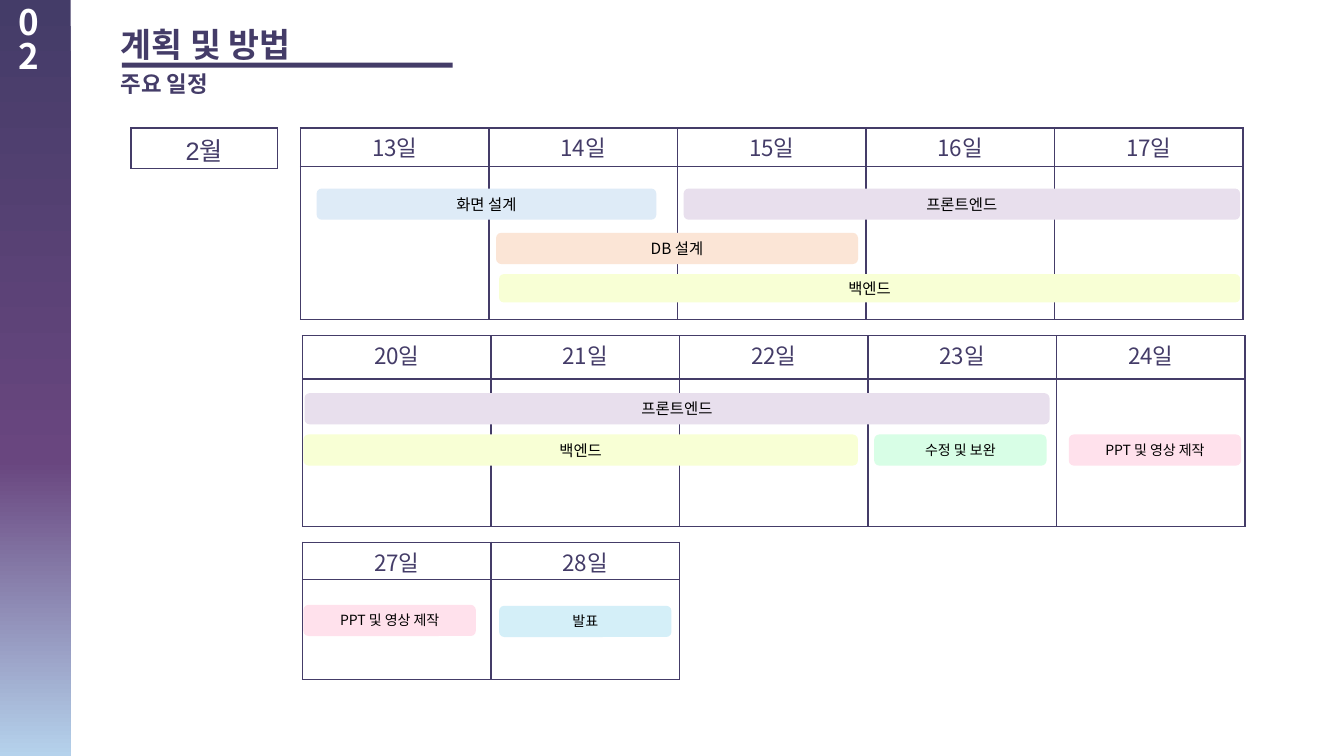
from copy import deepcopy
from lxml import etree
from pptx import Presentation
from pptx.dml.color import RGBColor
from pptx.enum import shapes, text
from pptx.oxml import ns

# Content; lengths are px, 100 to the inch
PX = 9144
SANS = "Noto Sans CJK KR"
HEX = dict(ink="443C68", plum="69467F", sky="B5D2EC", white="FFFFFF", black="000000",
           blue="DEEBF7", lilac="E8DFED", peach="FBE5D6", lime="F8FFD5",
           mint="D8FEE6", pink="FFE1EC", aqua="D4EFF8")
FADE = [("ink", 0), ("plum", 61), ("sky", 100)]

# left, top, row heights, first day, number of days
WEEKS = [(298, 127, (38, 152), 13, 5),
         (300, 333, (43, 146), 20, 5),
         (300, 538, (37, 99), 27, 2)]
DAY = 187

# label, colour, size, left, top, width, height
TASKS = [("화면 설계", "blue", 11, 314, 187, 337, 31),
         ("프론트엔드", "lilac", 11, 678, 187, 552, 31),
         ("DB 설계", "peach", 11, 492, 231, 359, 31),
         ("백엔드", "lime", 11, 495, 272, 735, 28),
         ("프론트엔드", "lilac", 11, 302, 390, 739, 31),
         ("백엔드", "lime", 11, 301, 431, 550, 31),
         ("수정 및 보완", "mint", 10, 867, 431, 171, 31),
         ("PPT 및 영상 제작", "pink", 10, 1060, 431, 171, 31),
         ("PPT 및 영상 제작", "pink", 10, 301, 600, 171, 31),
         ("발표", "aqua", 10, 495, 601, 171, 31)]

# text, size, colour, box, wrap, line spacing
HEADS = [("계획 및 방법", 24, "ink", (110, 19, 196, 50), False, None),
         ("주요 일정", 16, "ink", (110, 65, 110, 37), False, None),
         ("02", 25, "white", (9, 4, 50, 52), True, 0.8)]

deck = Presentation()
deck.slide_width, deck.slide_height = 1333 * PX, 750 * PX
slide = deck.slides.add_slide(deck.slide_layouts[6])


def scale(*nums):
    return [n * PX for n in nums]


def color(name):
    return RGBColor.from_string(HEX[name])


def write(frame, words, size, tint="ink", font=SANS, bold=False,
          align=text.PP_ALIGN.CENTER, gap=None):
    para = frame.paragraphs[0]
    para.alignment = align
    if gap:
        para.line_spacing = gap
    run = para.add_run()
    run.text = words
    run.font.size = size * 12700
    run.font.bold = bold
    run.font.name = font
    run.font.color.rgb = color(tint)
    east = etree.SubElement(run.font.color and run._r.get_or_add_rPr(), ns.qn("a:ea"))
    east.set("typeface", SANS)


def block(kind, box, tint):
    shape = slide.shapes.add_shape(kind, *scale(*box))
    shape.shadow.inherit = False
    shape.line.fill.background()
    shape.fill.solid()
    shape.fill.fore_color.rgb = color(tint)
    return shape


def grid(left, top, wide, rows, heads, size=16, font=SANS):
    frame = slide.shapes.add_table(len(rows), len(heads),
                                   *scale(left, top, wide * len(heads), sum(rows)))
    table = frame.table
    table.first_row = table.horz_banding = False
    for col in table.columns:
        col.width = wide * PX
    for row, high in zip(table.rows, rows):
        row.height = high * PX
    for cell in table.iter_cells():
        cell.fill.background()
        cell.margin_top, cell.margin_bottom = scale(3, 2)
    for cell, head in zip(table.rows[0].cells, heads):
        write(cell.text_frame, head, size, font=font)
    # Cell borders
    for props in frame.element.iter(ns.qn("a:tcPr")):
        for spot, side in enumerate("LRTB"):
            line = etree.Element(ns.qn("a:ln" + side), w="12700")
            solid = etree.SubElement(line, ns.qn("a:solidFill"))
            etree.SubElement(solid, ns.qn("a:srgbClr"), val=HEX["ink"])
            props.insert(spot, line)


# Side band with its gradient
RECT = shapes.MSO_SHAPE.RECTANGLE
band = block(RECT, (-2, 0, 72, 750), "ink")
band.fill.gradient()
band.fill.gradient_angle = 270
stops = next(band.element.iter(ns.qn("a:gsLst")))
stops.append(deepcopy(stops[-1]))
for stop, (name, place) in zip(stops, FADE):
    stop.set("pos", str(place * 1000))
    stop.remove(stop[0])
    etree.SubElement(stop, ns.qn("a:srgbClr"), val=HEX[name])

# Headings
block(RECT, (121, 62, 328, 5), "ink")
for words, size, tint, box, wrap, gap in HEADS:
    frame = slide.shapes.add_textbox(*scale(*box)).text_frame
    frame.word_wrap = wrap
    write(frame, words, size, tint, bold=True, align=text.PP_ALIGN.LEFT, gap=gap)

# Calendar
grid(130, 127, 145, [40], ["2월"], size=18, font="Arial")
for left, top, rows, first, count in WEEKS:
    grid(left, top, DAY, rows, [f"{first + i}일" for i in range(count)])

# Task bars
for words, tint, size, *box in TASKS:
    bar = block(shapes.MSO_SHAPE.ROUNDED_RECTANGLE, box, tint)
    bar.text_frame.vertical_anchor = text.MSO_ANCHOR.MIDDLE
    write(bar.text_frame, words, size, "black")

deck.save("out.pptx")
